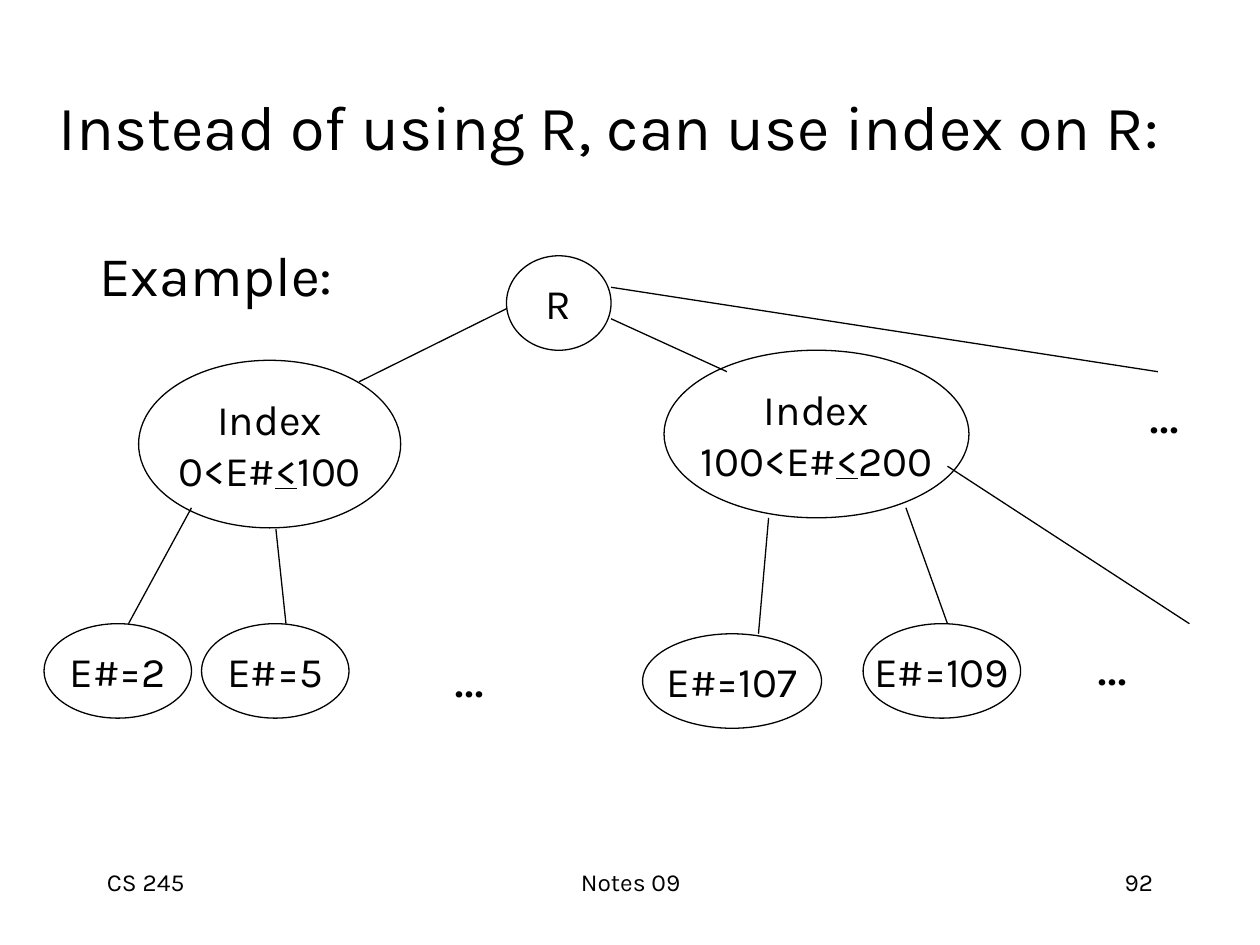
import pptx
import pptx.dml.color
import pptx.enum.shapes
import pptx.enum.text
import pptx.oxml.ns
import pptx.util
from lxml import etree
from pptx.util import Inches

ALIGN = pptx.enum.text.PP_ALIGN
ANCHOR = pptx.enum.text.MSO_ANCHOR


class Deck:
    """Hold the style and the current slide, and draw its elements."""

    font = "Karla"
    colors = {"ink": "000000", "paper": "FFFFFF"}
    line_width = 0.75

    def __init__(self, width, height):
        self.prs = pptx.Presentation()
        self.prs.slide_width = Inches(width)
        self.prs.slide_height = Inches(height)
        self.s = self.prs.slides.add_slide(self.prs.slide_layouts[6])
        self.fill(self.s.background.fill, "paper")

    def rgb(self, name):
        return pptx.dml.color.RGBColor.from_string(self.colors[name])

    def fill(self, fill, name):
        fill.solid()
        fill.fore_color.rgb = self.rgb(name)

    def stroke(self, line):
        self.fill(line.fill, "ink")
        line.width = pptx.util.Pt(self.line_width)

    def add_text(self, sp, paragraphs, size, align, anchor, wrap):
        tf = sp.text_frame
        tf.word_wrap = wrap
        tf.vertical_anchor = anchor
        tf.margin_left = tf.margin_right = Inches(0.1)
        tf.margin_top = tf.margin_bottom = Inches(0.05)
        for i, runs in enumerate(paragraphs):
            p = tf.add_paragraph() if i else tf.paragraphs[0]
            p.alignment = align
            for text, underlined in runs:
                r = p.add_run()
                r.text = text
                r.font.name = self.font
                r.font.size = pptx.util.Pt(size)
                r.font.color.rgb = self.rgb("ink")
                if underlined:
                    r.font.underline = True

    def label(self, box, text, size, align=ALIGN.LEFT, anchor=ANCHOR.TOP, wrap=True):
        sp = self.s.shapes.add_textbox(*map(Inches, box))
        self.add_text(sp, [[(text, False)]], size, align, anchor, wrap)

    def node(self, box, paragraphs):
        sp = self.s.shapes.add_shape(
            pptx.enum.shapes.MSO_SHAPE.OVAL, *map(Inches, box))
        sp.shadow.inherit = False
        self.fill(sp.fill, "paper")
        self.stroke(sp.line)
        self.add_text(sp, paragraphs, 24, ALIGN.CENTER, ANCHOR.MIDDLE, False)

    def edge(self, *ends):
        sp = self.s.shapes.add_connector(
            pptx.enum.shapes.MSO_CONNECTOR.STRAIGHT, *map(Inches, ends))
        self.stroke(sp.line)
        etree.SubElement(sp._element.spPr, pptx.oxml.ns.qn("a:effectLst"))


def main():
    deck = Deck(10, 7.5)
    deck.label((0.37, 0.37, 9.14, 1.25), "Instead of using R, can use index on R:",
               36, anchor=ANCHOR.MIDDLE)
    deck.label((0.69, 1.86, 8.5, 4.5), "Example:", 32)

    deck.node((4.02, 2.03, 0.83, 0.75), [[("R", False)]])
    for box, low, high in (
        ((1.1, 2.86, 2.08, 1.33), "0", "100"),
        ((5.27, 2.78, 2.42, 1.33), "100", "200"),
    ):
        deck.node(box, [[("Index", False)],
                        [(f"{low}<E#", False), ("<", True), (high, False)]])
    for left, top, width, value in (
        (0.35, 4.95, 1.17, 2),
        (1.6, 4.95, 1.17, 5),
        (5.1, 5.03, 1.42, 107),
        (6.85, 4.95, 1.25, 109),
    ):
        deck.node((left, top, width, 0.75), [[(f"E#={value}", False)]])

    for ends in (
        (1.52, 4.03, 1.02, 4.95),
        (2.19, 4.2, 2.27, 4.95),
        (6.1, 4.11, 6.02, 5.03),
        (7.19, 4.03, 7.52, 4.95),
        (7.52, 3.7, 9.44, 4.95),
        (4.02, 2.45, 2.85, 3.03),
        (4.85, 2.53, 5.77, 2.95),
        (4.85, 2.28, 9.19, 2.95),
    ):
        deck.edge(*ends)

    for left, top in ((3.45, 5.04), (8.96, 2.94), (8.55, 4.94)):
        deck.label((left, top, 0.56, 0.64), "...", 32,
                   ALIGN.CENTER, ANCHOR.MIDDLE, False)

    for left, width, text, align in (
        (3.42, 3.17, "Notes 09", ALIGN.CENTER),
        (7.17, 2.08, "92", ALIGN.RIGHT),
        (0.75, 2.08, "CS 245", ALIGN.LEFT),
    ):
        deck.label((left, 6.83, width, 0.5), text, 14, align)

    deck.prs.save("out.pptx")


if __name__ == "__main__":
    main()
